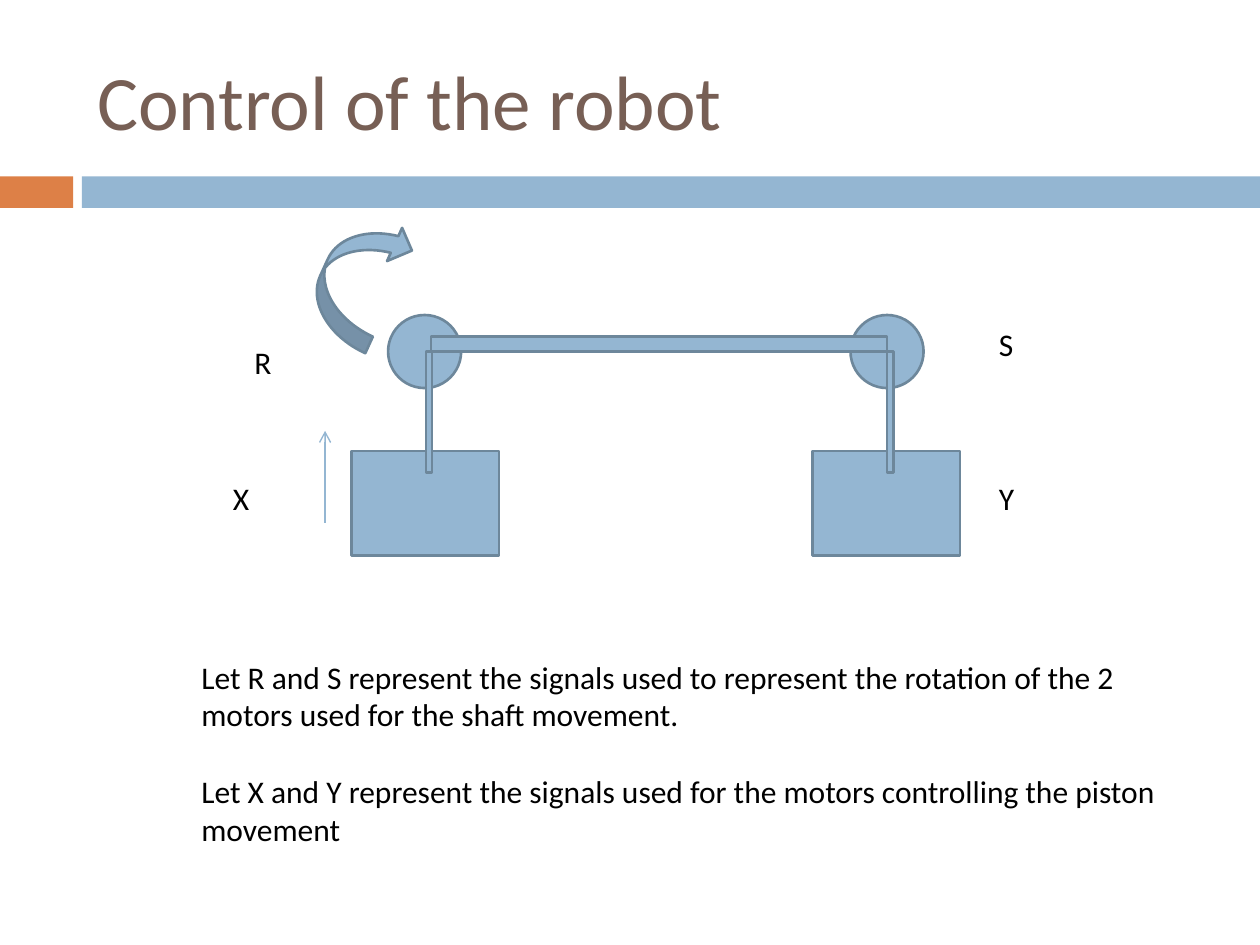
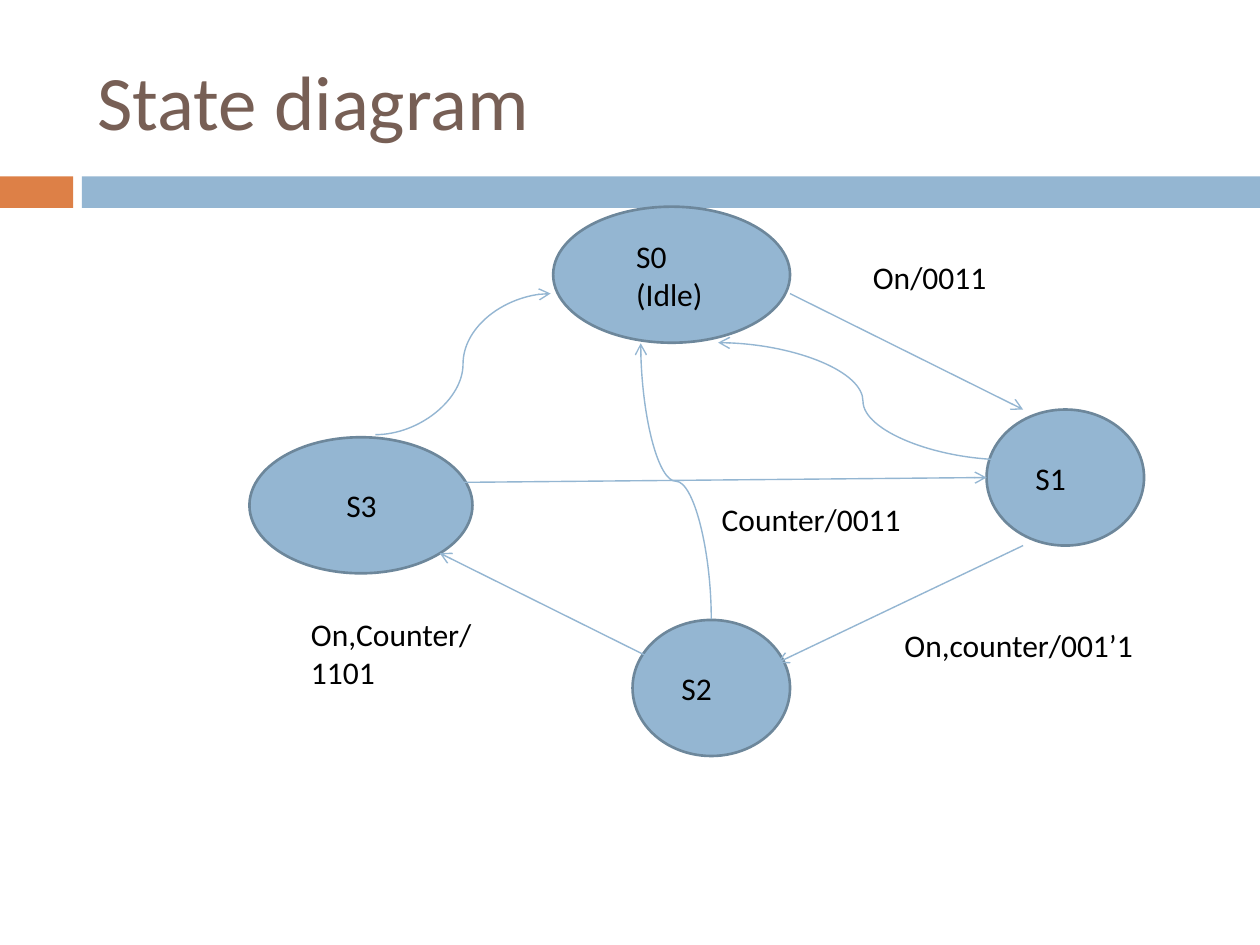
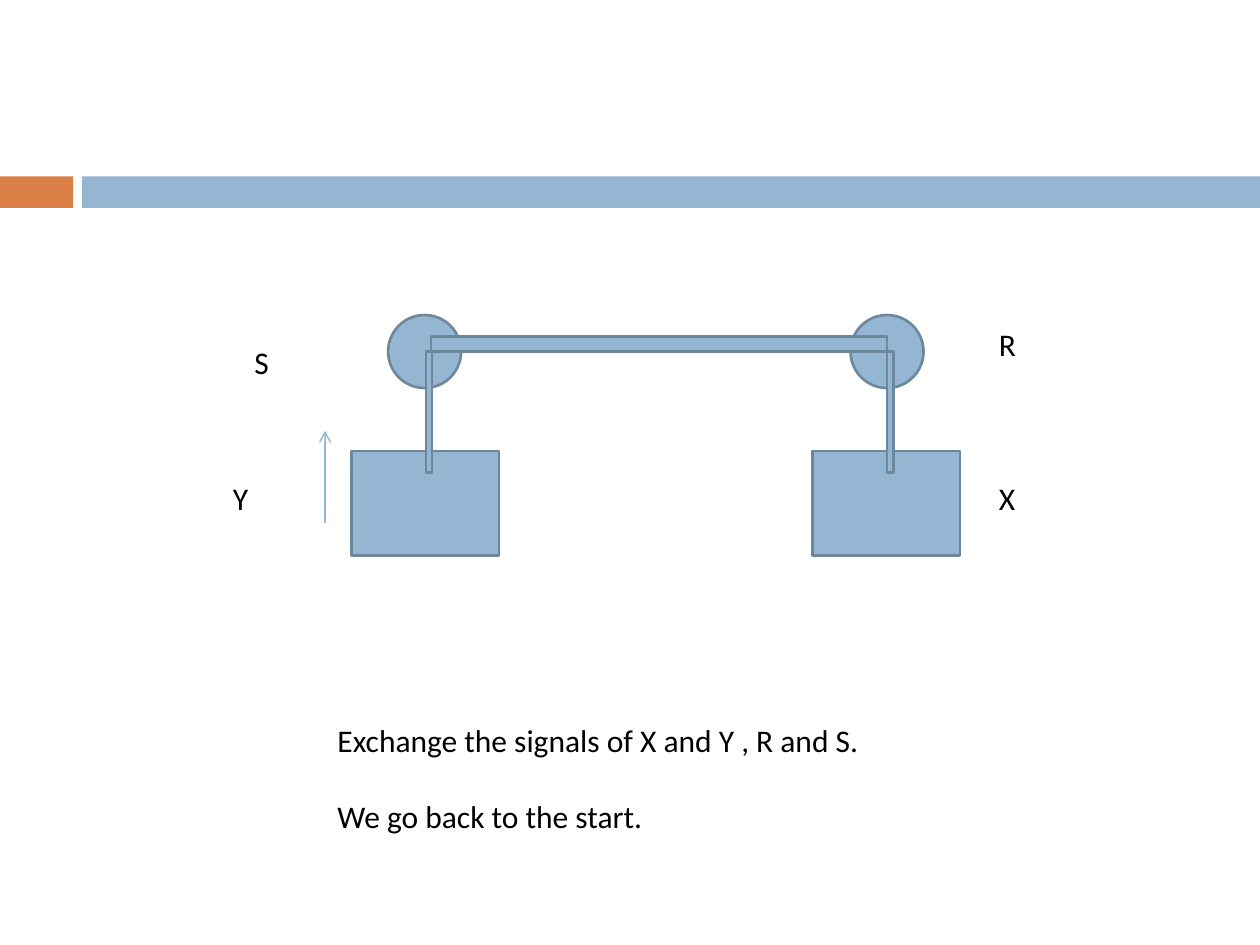
from lxml.etree import SubElement
from pptx import Presentation
from pptx.dml.color import RGBColor
from pptx.enum.shapes import MSO_CONNECTOR, MSO_SHAPE
from pptx.enum.text import MSO_ANCHOR, MSO_AUTO_SIZE, PP_ALIGN
from pptx.oxml.ns import qn
from pptx.util import Inches, Pt

COLORS = {"orange": "DD8047", "blue": "94B6D2", "outline": "6D879B",
          "title": "775F55", "text": "000000"}
FONT = "Calibri"
RECTANGLE, OVAL = MSO_SHAPE.RECTANGLE, MSO_SHAPE.OVAL
STRAIGHT, CURVE = MSO_CONNECTOR.STRAIGHT, MSO_CONNECTOR.CURVE


def add_filled_shape(page, kind, at, color, outlined=True):
    shape = page.shapes.add_shape(kind, *map(Inches, at))
    shape.shadow.inherit = False
    shape.fill.solid()
    shape.fill.fore_color.rgb = RGBColor.from_string(COLORS[color])
    if outlined:
        shape.line.color.rgb = RGBColor.from_string(COLORS["outline"])
        shape.line.width = Pt(1.5)
    else:
        shape.line.fill.background()
    return shape


def format_paragraph(paragraph, size, color):
    paragraph.font.name = FONT
    paragraph.font.size = Pt(size)
    paragraph.font.color.rgb = RGBColor.from_string(COLORS[color])
    paragraph.alignment = PP_ALIGN.LEFT


# Robot: two pistons hanging from motors that share one shaft
robot_shapes = [
    (RECTANGLE, (2.79, 3.58, 1.17, 0.83)),
    (RECTANGLE, (6.45, 3.58, 1.17, 0.83)),
    (OVAL, (3.08, 2.5, 0.58, 0.58)),
    (OVAL, (6.75, 2.5, 0.58, 0.58)),
    (RECTANGLE, (3.42, 2.67, 3.62, 0.12)),
    (RECTANGLE, (3.38, 2.79, 0.05, 0.96)),
    (RECTANGLE, (7.04, 2.79, 0.05, 0.96)),
]
signal_places = [(7.83, 2.53, 0.83, 0.4), (1.92, 2.67, 0.83, 0.4),
                 (1.75, 3.75, 0.67, 0.4), (7.83, 3.75, 0.83, 0.4)]
piston_arrow = (STRAIGHT, (2.58, 4.15), (2.58, 3.42), 0)

# Texts are (place, paragraphs); arrows are (kind, start, end, rotation)
slides = [
    {
        "title": "Control of the robot",
        "shapes": robot_shapes,
        "texts": [(place, [signal]) for place, signal in zip(signal_places, "SRXY")] + [
            ((1.5, 5.17, 8.17, 1.62), [
                "Let R and S represent the signals used to represent the rotation "
                "of the 2 motors used for the shaft movement.",
                "Let X and Y represent the signals used for the motors controlling "
                "the piston movement"]),
        ],
        "paragraph_gap": 22,
        "arrows": [piston_arrow],
    },
    {
        "title": "State diagram",
        "shapes": [
            (OVAL, (4.39, 1.64, 1.88, 1.08)),
            (OVAL, (7.83, 3.25, 1.25, 1.08)),
            (OVAL, (5.02, 4.92, 1.25, 1.08)),
            (OVAL, (1.98, 3.47, 1.77, 1.08)),
        ],
        "texts": [
            ((4.95, 1.83, 0.75, 0.71), ["S0", "(Idle)"]),
            ((2.65, 3.81, 0.67, 0.4), ["S3"]),
            ((5.31, 5.26, 0.67, 0.4), ["S2"]),
            ((8.12, 3.59, 0.67, 0.4), ["S1"]),
            ((6.83, 2, 1.96, 0.4), ["On/0011"]),
            ((2.37, 4.83, 1.96, 0.71), ["On,Counter/1101"]),
            ((7.08, 4.92, 2.42, 0.4), ["On,counter/001’1"]),
            ((5.63, 3.92, 1.77, 0.4), ["Counter/0011"]),
        ],
        "paragraph_gap": 0,
        "arrows": [
            (STRAIGHT, (6.27, 2.33), (8.12, 3.25), 0),
            (STRAIGHT, (8.12, 4.33), (6.17, 5.26), 0),
            (STRAIGHT, (5.24, 5.26), (3.49, 4.39), 0),
            (STRAIGHT, (3.49, 3.83), (7.83, 3.79), 0),
            (CURVE, (2.98, 3.45), (4.37, 2.33), 0),
            (CURVE, (4.27, 4.1), (6.46, 3.54), 270),
            (CURVE, (8, 3.65), (5.7, 2.72), 0),
        ],
    },
    {
        "title": None,
        "shapes": robot_shapes,
        "texts": [(place, [signal]) for place, signal in zip(signal_places, "RSYX")] + [
            ((2.58, 5.67, 4.4, 1.01), ["Exchange the signals of X and Y , R and S.",
                                       "We go back to the start."]),
        ],
        "paragraph_gap": 22,
        "arrows": [piston_arrow],
    },
]

deck = Presentation()
deck.slide_width, deck.slide_height = Inches(10), Inches(7.5)
layout = deck.slide_layouts.get_by_name("Title Only")
layout_title = layout.placeholders[0]
layout_title.left, layout_title.top = Inches(0.67), Inches(0.25)
layout_title.width, layout_title.height = Inches(8.92), Inches(1.08)
pages = [deck.slides.add_slide(layout) for _ in slides]

# The bands belong to the layout, so every slide shows them
bands = [("orange", (0, 1.4, 0.58, 0.25)), ("blue", (0.65, 1.4, 9.35, 0.25))]
for number, (color, at) in enumerate(bands):
    band = add_filled_shape(pages[0], RECTANGLE, at, color, outlined=False)
    band.element.nvSpPr.cNvPr.set("id", str(100 + number))
    layout.shapes.element.append(band.element)

for page, content in zip(pages, slides):
    title = page.shapes.title
    if content["title"]:
        title.text_frame.text = content["title"]
        title.text_frame.vertical_anchor = MSO_ANCHOR.MIDDLE
        format_paragraph(title.text_frame.paragraphs[0], 44, "title")
    else:
        title.element.getparent().remove(title.element)

    for kind, at in content["shapes"]:
        add_filled_shape(page, kind, at, "blue")

    for at, lines in content["texts"]:
        box = page.shapes.add_textbox(*map(Inches, at))
        frame = box.text_frame
        frame.word_wrap = True
        frame.auto_size = MSO_AUTO_SIZE.SHAPE_TO_FIT_TEXT
        frame.text = "\n".join(lines)
        for paragraph in frame.paragraphs:
            format_paragraph(paragraph, 18, "text")
        for paragraph in frame.paragraphs[1:]:
            paragraph.space_before = Pt(content["paragraph_gap"])

    for kind, start, end, rotation in content["arrows"]:
        arrow = page.shapes.add_connector(kind, *map(Inches, start + end))
        arrow.line.color.rgb = RGBColor.from_string(COLORS["blue"])
        arrow.line.width = Pt(0.79)
        properties = arrow.element.spPr
        SubElement(properties.find(qn("a:ln")), qn("a:tailEnd"), type="arrow")
        SubElement(properties, qn("a:effectLst"))
        if rotation:
            properties.find(qn("a:xfrm")).set("rot", str(rotation * 60000))

rotation_arrow = add_filled_shape(pages[0], MSO_SHAPE.CURVED_DOWN_ARROW,
                                  (2.33, 1.92, 1.04, 0.58), "blue")
rotation_arrow.rotation = 294.4

deck.save("out.pptx")
